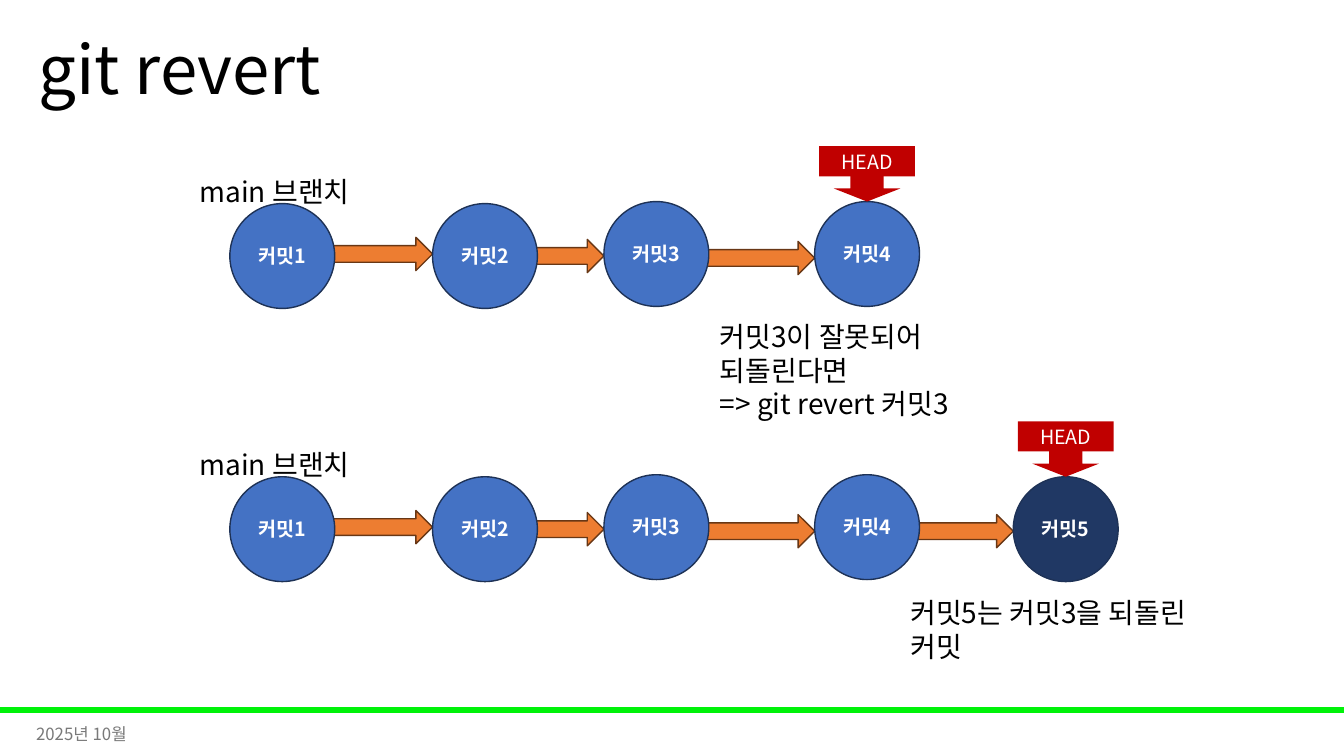
from lxml import etree
from pptx import Presentation, util as u
from pptx.dml.color import RGBColor
from pptx.enum import shapes as s, text as t
from pptx.oxml import ns

FONT = "Noto Sans CJK KR"
BLACK = RGBColor(0x00, 0x00, 0x00)
WHITE = RGBColor(0xFF, 0xFF, 0xFF)
GRAY = RGBColor(0x79, 0x79, 0x79)
GREEN = RGBColor(0x00, 0xF2, 0x09)
BLUE = RGBColor(0x44, 0x72, 0xC4)
NAVY = RGBColor(0x20, 0x38, 0x64)
NAVY_LINE = RGBColor(0x1E, 0x32, 0x56)
ORANGE = RGBColor(0xED, 0x7D, 0x31)
BROWN = RGBColor(0x68, 0x37, 0x15)
RED = RGBColor(0xC0, 0x00, 0x00)

SLIDE_W, SLIDE_H = 13.33, 7.5
COMMIT_SIZE = 1.04
ARROW_H = 0.33
# Per commit: left, drop below the row's top, then length and
# drop of the centre line of the arrow that leads to it
COMMITS = [
    (2.28, 0.02, 0, 0),
    (4.29, 0.02, 1.21, 0.52),
    (5.99, 0, 1.21, 0.54),
    (8.08, 0, 1.09, 0.56),
    (10.05, 0.02, 1.08, 0.56),
]


def inches(box):
    return [u.Inches(length) for length in box]


def write(frame, lines, size, color, bold=False, align=t.PP_ALIGN.LEFT,
          anchor=t.MSO_ANCHOR.TOP, spacing=None):
    frame.word_wrap = True
    frame.vertical_anchor = anchor
    for index, line in enumerate(lines):
        paragraph = frame.paragraphs[0] if index == 0 else frame.add_paragraph()
        paragraph.alignment = align
        if spacing:
            paragraph.line_spacing = spacing
        run = paragraph.add_run()
        run.text = line
        run.font.name = FONT
        run.font.size = u.Pt(size)
        run.font.bold = bold
        run.font.color.rgb = color
        # Korean glyphs take the East Asian typeface
        east_asian = etree.SubElement(run.font._element, ns.qn("a:ea"))
        east_asian.set("typeface", FONT)


def add_text(shapes, box, lines, size=20, color=BLACK, **style):
    frame = shapes.add_textbox(*inches(box)).text_frame
    write(frame, lines, size, color, **style)


def add_block(shapes, kind, box, fill, line=None, label=None, bold=False):
    block = shapes.add_shape(kind, *inches(box))
    block.shadow.inherit = False
    block.fill.solid()
    block.fill.fore_color.rgb = fill
    if line:
        block.line.color.rgb = line
        block.line.width = u.Pt(1)
    else:
        block.line.fill.background()
    if label:
        frame = block.text_frame
        frame.margin_left = frame.margin_right = 0
        write(frame, [label], 14, WHITE, bold=bold,
              align=t.PP_ALIGN.CENTER, anchor=t.MSO_ANCHOR.MIDDLE)


def add_head(shapes, center, bottom):
    """Red HEAD marker whose tip touches the commit below."""
    add_block(shapes, s.MSO_SHAPE.DOWN_ARROW,
              (center - 0.33, bottom - 0.26, 0.66, 0.26), RED)
    add_block(shapes, s.MSO_SHAPE.RECTANGLE,
              (center - 0.475, bottom - 0.55, 0.95, 0.3), RED, label="HEAD")


def add_branch(slide, top, count, new_commit=None):
    """One branch: arrows behind, commits in front, HEAD on the last one."""
    shapes = slide.shapes.add_group_shape().shapes
    commits = COMMITS[:count]
    for left, _, length, drop in commits[1:]:
        add_block(shapes, s.MSO_SHAPE.RIGHT_ARROW,
                  (left - length, top + drop - ARROW_H / 2, length, ARROW_H),
                  ORANGE, BROWN)
    for number, (left, drop, _, _) in enumerate(commits, 1):
        add_block(shapes, s.MSO_SHAPE.OVAL,
                  (left, top + drop, COMMIT_SIZE, COMMIT_SIZE),
                  NAVY if number == new_commit else BLUE, NAVY_LINE,
                  f"커밋{number}", bold=True)
    last_left, last_drop = commits[-1][:2]
    add_head(shapes, last_left + COMMIT_SIZE / 2, top + last_drop)
    add_text(shapes, (1.88, top - 0.32, 1.84, 0.44), ["main 브랜치"])


def add_title(slide):
    add_text(slide.shapes, (0.28, 0, 11.5, 1.45), ["git revert"], 48,
             anchor=t.MSO_ANCHOR.MIDDLE, spacing=0.9)


def add_footer(slide):
    add_block(slide.shapes, s.MSO_SHAPE.RECTANGLE,
              (0, 7.02, SLIDE_W, 0.05), GREEN, GREEN)
    add_text(slide.shapes, (0.26, 7.08, 3, 0.4), ["2025년 10월"], 12, GRAY,
             anchor=t.MSO_ANCHOR.MIDDLE)


def main():
    deck = Presentation()
    deck.slide_width, deck.slide_height = inches((SLIDE_W, SLIDE_H))
    slide = deck.slides.add_slide(deck.slide_layouts[6])
    add_footer(slide)
    add_title(slide)

    # Before and after the revert
    add_branch(slide, 2, 4)
    add_branch(slide, 4.71, 5, new_commit=5)

    # Explanations under the commits
    add_text(slide.shapes, (7.04, 3.12, 3.41, 1.1),
             ["커밋3이 잘못되어 되돌린다면", "=> git revert 커밋3"])
    add_text(slide.shapes, (8.93, 5.86, 3.4, 0.77),
             ["커밋5는 커밋3을 되돌린 커밋"])
    deck.save("out.pptx")


if __name__ == "__main__":
    main()
